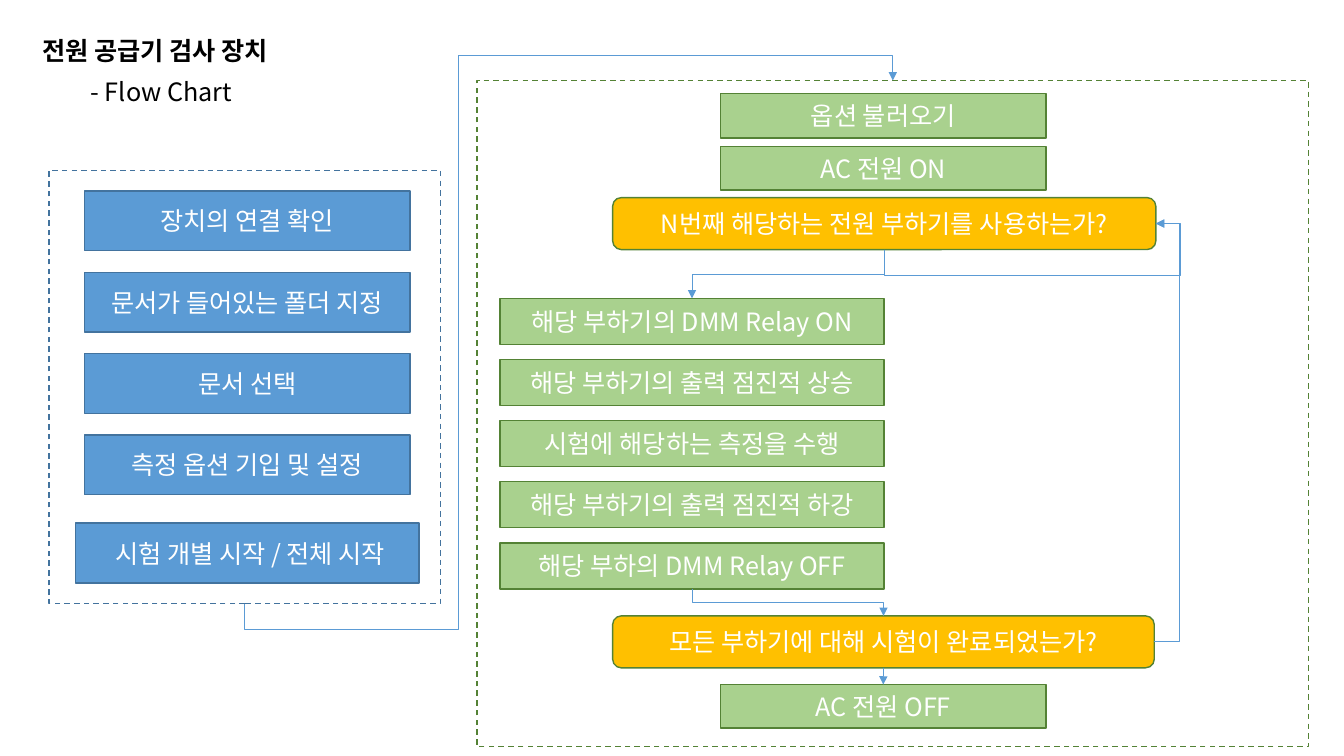
import dataclasses

import lxml.etree
import pptx
import pptx.dml.color
import pptx.enum.dml
import pptx.enum.shapes
import pptx.enum.text
import pptx.oxml.ns
import pptx.util

Cm = pptx.util.Cm
Pt = pptx.util.Pt
qn = pptx.oxml.ns.qn
SHAPES = pptx.enum.shapes.MSO_SHAPE
CONNECTORS = pptx.enum.shapes.MSO_CONNECTOR
ALIGN = pptx.enum.text.PP_ALIGN
ANCHOR = pptx.enum.text.MSO_ANCHOR
TOP, LEFT, BOTTOM, RIGHT = range(4)


@dataclasses.dataclass(frozen=True)
class Theme:
    font: str = "Noto Sans CJK KR"
    size: int = 18
    ink: str = "000000"
    light: str = "FFFFFF"
    blue: str = "5B9BD5"
    blue_edge: str = "43739E"
    green: str = "A9D18E"
    green_edge: str = "548235"
    amber: str = "FFC000"
    edge_width: float = 1
    arrow_width: float = 0.5


def rgb(value):
    return pptx.dml.color.RGBColor.from_string(value)


def side_point(sp, side):
    x = {LEFT: 0, RIGHT: 1}.get(side, 0.5)
    y = {TOP: 0, BOTTOM: 1}.get(side, 0.5)
    return sp.left + x * sp.width, sp.top + y * sp.height


class FlowSlide:
    def __init__(self, prs, theme):
        self.theme = theme
        self.slide = prs.slides.add_slide(prs.slide_layouts[0])

    def add_text(self, tf, text, color, align, bold=False):
        p = tf.paragraphs[0]
        p.alignment = align
        p.space_before = Pt(0)
        r = p.add_run()
        r.text = text
        r.font.name = self.theme.font
        r.font.size = Pt(self.theme.size)
        r.font.bold = bold
        r.font.color.rgb = rgb(color)
        ea = lxml.etree.SubElement(r.font._element, qn("a:ea"))
        ea.set("typeface", self.theme.font)

    def heading(self, idx, text, x, y, w, h, bold=False):
        sp = self.slide.placeholders[idx]
        sp.left, sp.top, sp.width, sp.height = Cm(x), Cm(y), Cm(w), Cm(h)
        tf = sp.text_frame
        tf.word_wrap = False
        tf.auto_size = pptx.enum.text.MSO_AUTO_SIZE.SHAPE_TO_FIT_TEXT
        tf.vertical_anchor = ANCHOR.TOP
        self.add_text(tf, text, self.theme.ink, ALIGN.LEFT, bold)

    def outline(self, kind, x, y, w, h, edge):
        sp = self.slide.shapes.add_shape(kind, Cm(x), Cm(y), Cm(w), Cm(h))
        sp.shadow.inherit = False
        sp.line.color.rgb = rgb(edge)
        sp.line.width = Pt(self.theme.edge_width)
        return sp

    def frame(self, x, y, w, h, edge):
        sp = self.outline(SHAPES.RECTANGLE, x, y, w, h, edge)
        sp.fill.background()
        sp.line.dash_style = pptx.enum.dml.MSO_LINE.DASH
        return sp

    def box(self, text, x, y, w, h, fill, edge, kind=SHAPES.RECTANGLE):
        sp = self.outline(kind, x, y, w, h, edge)
        sp.fill.solid()
        sp.fill.fore_color.rgb = rgb(fill)
        tf = sp.text_frame
        tf.word_wrap = True
        tf.vertical_anchor = ANCHOR.MIDDLE
        self.add_text(tf, text, self.theme.light, ALIGN.CENTER)
        return sp

    def setup(self, text, x, y, w):
        return self.box(text, x, y, w, 1.51, self.theme.blue, self.theme.blue_edge)

    def action(self, text, x, y, w, h):
        return self.box(text, x, y, w, h, self.theme.green, self.theme.green_edge)

    def decision(self, text, y, w):
        return self.box(text, 15.44, y, w, 1.31, self.theme.amber,
                        self.theme.green_edge, SHAPES.ROUNDED_RECTANGLE)

    def arrow(self, kind, x1, y1, x2, y2):
        sp = self.slide.shapes.add_connector(kind, *map(round, (x1, y1, x2, y2)))
        sp.line.color.rgb = rgb(self.theme.blue)
        sp.line.width = Pt(self.theme.arrow_width)
        props = sp.element.spPr
        tail = lxml.etree.SubElement(props.find(qn("a:ln")), qn("a:tailEnd"))
        tail.set("type", "triangle")
        lxml.etree.SubElement(props, qn("a:effectLst"))
        return sp

    def straight(self, source, target):
        ends = side_point(source, BOTTOM) + side_point(target, TOP)
        sp = self.arrow(CONNECTORS.STRAIGHT, *ends)
        sp.begin_connect(source, BOTTOM)
        sp.end_connect(target, TOP)

    def elbow(self, start, end, turn=0, bends=()):
        dx, dy = end[0] - start[0], end[1] - start[1]
        cx, cy = (start[0] + end[0]) / 2, (start[1] + end[1]) / 2
        vx, vy = {0: (dx, dy), 90: (dy, -dx), 270: (-dy, dx)}[turn]
        sp = self.arrow(CONNECTORS.ELBOW, cx - vx / 2, cy - vy / 2,
                        cx + vx / 2, cy + vy / 2)
        props = sp.element.spPr
        if turn:
            props.find(qn("a:xfrm")).set("rot", str(turn * 60000))
        geom = props.find(qn("a:prstGeom"))
        geom.set("prst", f"bentConnector{2 + max(1, len(bends))}")
        guides = geom.find(qn("a:avLst"))
        for i, bend in enumerate(bends):
            ratio = Cm(bend) / abs((vx, vy)[i % 2])
            guide = lxml.etree.SubElement(guides, qn("a:gd"))
            guide.set("name", f"adj{i + 1}")
            guide.set("fmla", f"val {round(ratio * 100000)}")


def main():
    prs = pptx.Presentation()
    prs.slide_width, prs.slide_height = Cm(33.87), Cm(19.05)
    theme = Theme()
    s = FlowSlide(prs, theme)

    s.heading(0, "전원 공급기 검사 장치", 0.81, 0.76, 6.96, 1.03, bold=True)
    s.heading(1, "- Flow Chart", 2.03, 1.8, 4.14, 1.03)

    setup_frame = s.frame(1.24, 4.29, 9.86, 10.92, theme.blue_edge)
    test_frame = s.frame(12.02, 2.03, 20.96, 16.79, theme.green_edge)

    setups = ["장치의 연결 확인", "문서가 들어있는 폴더 지정", "문서 선택",
              "측정 옵션 기입 및 설정"]
    for i, text in enumerate(setups):
        s.setup(text, 2.13, 4.81 + i * 2.05, 8.2)
    s.setup(" 시험 개별 시작 / 전체 시작", 1.9, 13.18, 8.66)

    s.action("옵션 불러오기", 18.16, 2.36, 8.2, 1.12)
    s.action("AC 전원 ON", 18.16, 3.69, 8.2, 1.1)
    power_off = s.action("AC 전원 OFF", 18.16, 17.25, 8.2, 1.1)

    tests = ["해당 부하기의 DMM Relay ON", "해당 부하기의 출력 점진적 상승",
             "시험에 해당하는 측정을 수행", "해당 부하기의 출력 점진적 하강",
             "해당 부하의 DMM Relay OFF"]
    steps = [s.action(text, 12.6, 7.52 + i * 1.54, 9.68, 1.16)
             for i, text in enumerate(tests)]

    in_use = s.decision("N번째 해당하는 전원 부하기를 사용하는가?", 4.98, 13.69)
    finished = s.decision("모든 부하기에 대해 시험이 완료되었는가?", 15.52, 13.65)

    s.elbow(side_point(in_use, BOTTOM), side_point(steps[0], TOP), 90)
    s.elbow(side_point(in_use, BOTTOM), side_point(in_use, RIGHT), 90, (-0.64, 7.46))
    s.elbow(side_point(finished, RIGHT), side_point(in_use, RIGHT), 0, (0.64,))
    s.elbow(side_point(steps[-1], BOTTOM), side_point(finished, TOP), 270)
    s.straight(finished, power_off)
    s.elbow(side_point(setup_frame, BOTTOM), side_point(test_frame, TOP), 90,
            (-0.64, 5.39, 13.82))

    prs.save("out.pptx")


if __name__ == "__main__":
    main()
